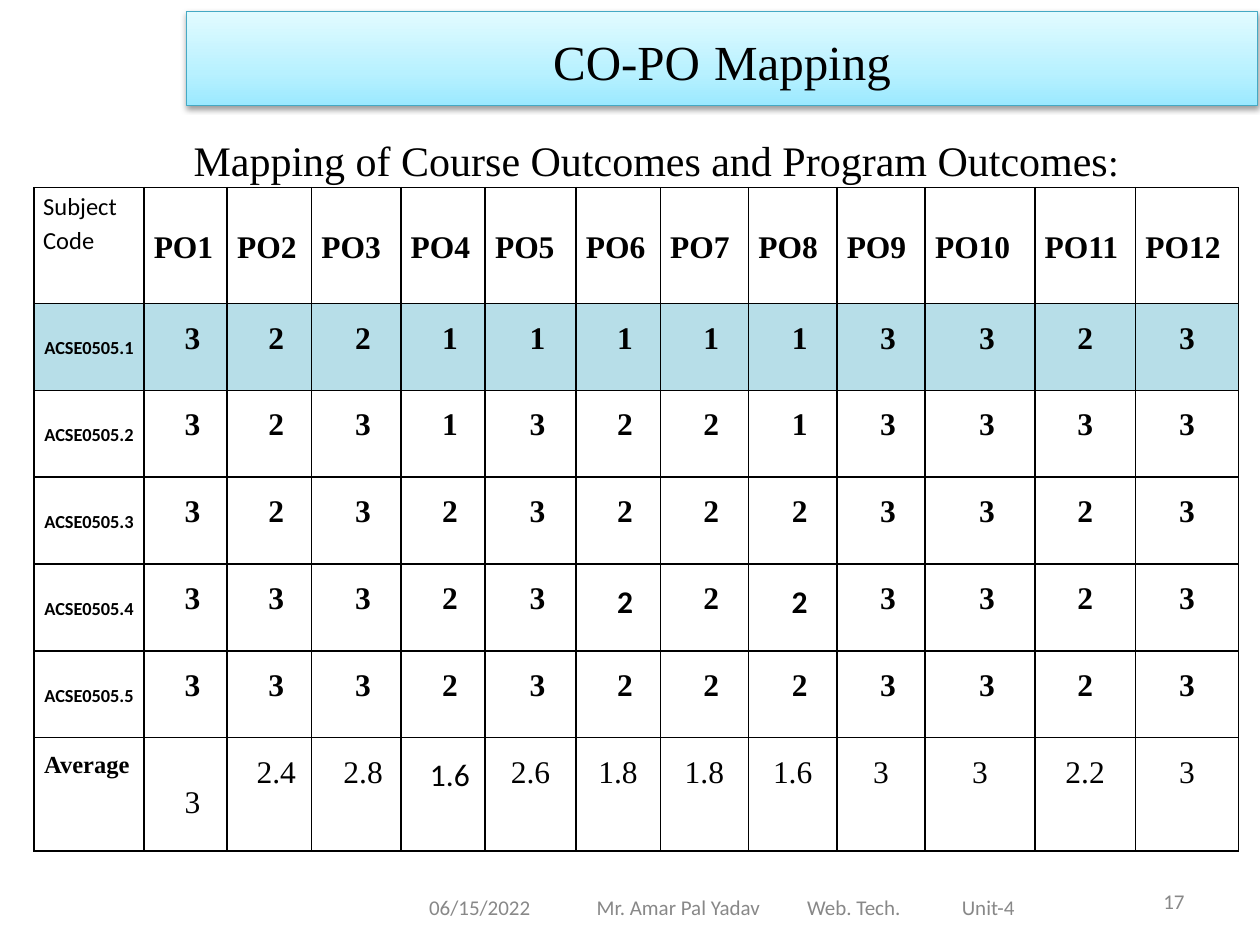
from dataclasses import dataclass

from lxml.etree import SubElement
from pptx import Presentation
from pptx.dml.color import RGBColor
from pptx.enum.shapes import MSO_SHAPE
from pptx.enum.text import MSO_ANCHOR, PP_ALIGN
from pptx.oxml.ns import qn
from pptx.util import Cm, Pt


@dataclass(frozen=True)
class Theme:
    serif: str = "Times New Roman"
    sans: str = "Calibri"
    ink: str = "000000"
    muted: str = "888888"
    highlight: str = "B7DEE8"
    banner_line: str = "45A9C4"
    banner_stops: tuple = ((0, "9BE9FF"), (35, "B8F1FF"), (100, "E2FBFF"))
    title: float = 28
    title_gap: float = 32
    subtitle: float = 24
    colon: float = 22
    grade: float = 18
    label: float = 14
    footer: float = 12
    code: float = 10.5


THEME = Theme()
CENTER, JUSTIFY = PP_ALIGN.CENTER, PP_ALIGN.JUSTIFY
TOP, MIDDLE = MSO_ANCHOR.TOP, MSO_ANCHOR.MIDDLE

COLUMN_WIDTHS = [2.21, 1.68, 1.7, 1.8, 1.7, 1.83, 1.7, 1.78, 1.78, 1.78, 2.21, 2.03, 2.08]
ROW_HEIGHTS = [2.34] + [1.75] * 5 + [2.29]
OUTCOME_GRADES = ["322111113323", "323132213333", "323232223323",
                  "333232223323", "333232223323"]
AVERAGES = ["3", "2.4", "2.8", "1.6", "2.6", "1.8", "1.8", "1.6", "3", "3", "2.2", "3"]
MAPPING = [
    ["Subject Code"] + [f"PO{n}" for n in range(1, 13)],
    *([f"ACSE0505.{n}", *grades] for n, grades in enumerate(OUTCOME_GRADES, 1)),
    ["Average"] + AVERAGES,
]
HIGHLIGHTED_ROW, AVERAGE_ROW = 1, len(MAPPING) - 1
SANS_CELLS = {(4, 6), (4, 8), (AVERAGE_ROW, 4)}


def cell_style(row, col):
    """Text style of a table cell, decided by its place in the grid."""
    style = dict(size=THEME.grade, font=THEME.serif, bold=True, align=CENTER,
                 anchor=TOP, spacing=1.5, after=0, indent=0, side=0.2)
    if row == 0:
        style.update(align=JUSTIFY, anchor=MIDDLE, spacing=1.15)
        if col == 0:
            style.update(size=THEME.label, font=THEME.sans, bold=False, anchor=TOP, side=0.18)
    elif col == 0:
        if row == AVERAGE_ROW:
            style.update(size=THEME.label, align=JUSTIFY)
        else:
            style.update(size=THEME.code, font=THEME.sans, anchor=MIDDLE,
                         spacing=1.15, after=10, side=0.18)
    else:
        last_indented = 4 if row == AVERAGE_ROW else 10
        style.update(bold=row != AVERAGE_ROW, indent=0.28 if col <= last_indented else 0)
        if (row, col) == (AVERAGE_ROW, 1):
            style.update(anchor=MIDDLE)
        if (row, col) in SANS_CELLS:
            style.update(font=THEME.sans)
    return style


class SlideBuilder:
    def __init__(self, theme, slide):
        self.theme, self.slide = theme, slide

    def format_run(self, run, size, font, color, bold=False):
        run.font.size, run.font.name, run.font.bold = Pt(size), font, bold
        run.font.color.rgb = RGBColor.from_string(color)

    def set_line(self, frame, pieces, font, color, align):
        """Fill a frame with one paragraph made of (text, size) pieces."""
        frame.word_wrap = True
        paragraph = frame.paragraphs[0]
        paragraph.alignment = align
        for text, size in pieces:
            run = paragraph.add_run()
            run.text = text
            self.format_run(run, size, font, color)
        return paragraph

    def banner(self, left, top, width, height, pieces):
        bar = self.slide.shapes.add_shape(
            MSO_SHAPE.RECTANGLE, Cm(left), Cm(top), Cm(width), Cm(height))
        bar.line.color.rgb = RGBColor.from_string(self.theme.banner_line)
        bar.line.width = Pt(0.75)
        bar.fill.gradient()
        bar.fill.gradient_angle = 90
        properties = bar.element.spPr
        stops = properties.find(qn("a:gradFill")).find(qn("a:gsLst"))
        for stop in list(stops):
            stops.remove(stop)
        for position, color in self.theme.banner_stops:
            stop = SubElement(stops, qn("a:gs"), pos=str(position * 1000))
            SubElement(stop, qn("a:srgbClr"), val=color)
        bar.shadow.inherit = False
        shadow = SubElement(properties.find(qn("a:effectLst")), qn("a:outerShdw"),
                            blurRad="40000", dist="20000", dir="5400000", rotWithShape="0")
        shade = SubElement(shadow, qn("a:srgbClr"), val=self.theme.ink)
        SubElement(shade, qn("a:alpha"), val="38000")
        bar.text_frame.vertical_anchor = MIDDLE
        self.set_line(bar.text_frame, pieces, self.theme.serif, self.theme.ink, CENTER)

    def text(self, left, top, width, height, pieces, font, color, align,
             anchor=MIDDLE, inset_left=0.25, inset_top=0.13, spacing=1.0, tabs=()):
        box = self.slide.shapes.add_textbox(Cm(left), Cm(top), Cm(width), Cm(height))
        frame = box.text_frame
        frame.vertical_anchor = anchor
        frame.margin_left, frame.margin_top = Cm(inset_left), Cm(inset_top)
        paragraph = self.set_line(frame, pieces, font, color, align)
        paragraph.line_spacing = spacing
        if tabs:
            tab_list = SubElement(paragraph._p.get_or_add_pPr(), qn("a:tabLst"))
            for position in tabs:
                SubElement(tab_list, qn("a:tab"), pos=str(Cm(position)), algn="l")

    def border(self, cell):
        properties = cell._tc.get_or_add_tcPr()
        for side in ("lnL", "lnR", "lnT", "lnB"):
            edge = SubElement(properties, qn(f"a:{side}"), w=str(Pt(1)))
            fill = SubElement(edge, qn("a:solidFill"))
            SubElement(fill, qn("a:srgbClr"), val=self.theme.ink)

    def fill_cell(self, cell, text, size, font, bold, align, anchor,
                  spacing, after, indent, side):
        cell.margin_left = cell.margin_right = Cm(side)
        cell.margin_top = cell.margin_bottom = 0
        cell.vertical_anchor = anchor
        paragraph = cell.text_frame.paragraphs[0]
        paragraph.text = text
        paragraph.alignment, paragraph.line_spacing = align, spacing
        paragraph.space_after = Pt(after)
        paragraph._p.get_or_add_pPr().set("marL", str(Cm(indent)))
        self.format_run(paragraph.runs[0], size, font, self.theme.ink, bold)

    def table(self, left, top, widths, heights, rows, highlighted):
        grid = self.slide.shapes.add_table(
            len(rows), len(widths), Cm(left), Cm(top), Cm(sum(widths)), Cm(sum(heights))).table
        grid.first_row = grid.horz_banding = False
        for column, width in zip(grid.columns, widths):
            column.width = Cm(width)
        for row, height in zip(grid.rows, heights):
            row.height = Cm(height)
        for r, values in enumerate(rows):
            for c, value in enumerate(values):
                cell = grid.cell(r, c)
                self.border(cell)
                if r == highlighted:
                    cell.fill.solid()
                    cell.fill.fore_color.rgb = RGBColor.from_string(self.theme.highlight)
                else:
                    cell.fill.background()
                self.fill_cell(cell, value, **cell_style(r, c))


def main():
    deck = Presentation()
    deck.slide_width, deck.slide_height = Cm(25.4), Cm(19.05)
    builder = SlideBuilder(THEME, deck.slides.add_slide(deck.slide_layouts[6]))
    builder.text(18.21, 17.65, 5.92, 1.02, [("17", THEME.footer)],
                 THEME.sans, THEME.muted, PP_ALIGN.RIGHT)
    builder.banner(3.76, 0.23, 21.59, 1.9, [
        ("CO-PO", THEME.title), (" ", THEME.title_gap), ("Mapping", THEME.title)])
    builder.text(3.02, 2.18, 20.42, 2.26, [
        ("Mapping of Course Outcomes and Program Outcomes", THEME.subtitle),
        (":", THEME.colon)], THEME.serif, THEME.ink, CENTER,
        anchor=TOP, inset_top=0.38, spacing=1.15)
    builder.text(6.78, 17.78, 13.97, 1.02, [
        ("06/15/2022\tMr. Amar Pal Yadav\tWeb. Tech.\tUnit-4", THEME.footer)],
        THEME.sans, THEME.muted, PP_ALIGN.LEFT, inset_left=1.87, tabs=(3.38, 7.62, 10.74))
    builder.table(0.69, 3.78, COLUMN_WIDTHS, ROW_HEIGHTS, MAPPING, HIGHLIGHTED_ROW)
    deck.save("out.pptx")


if __name__ == "__main__":
    main()
